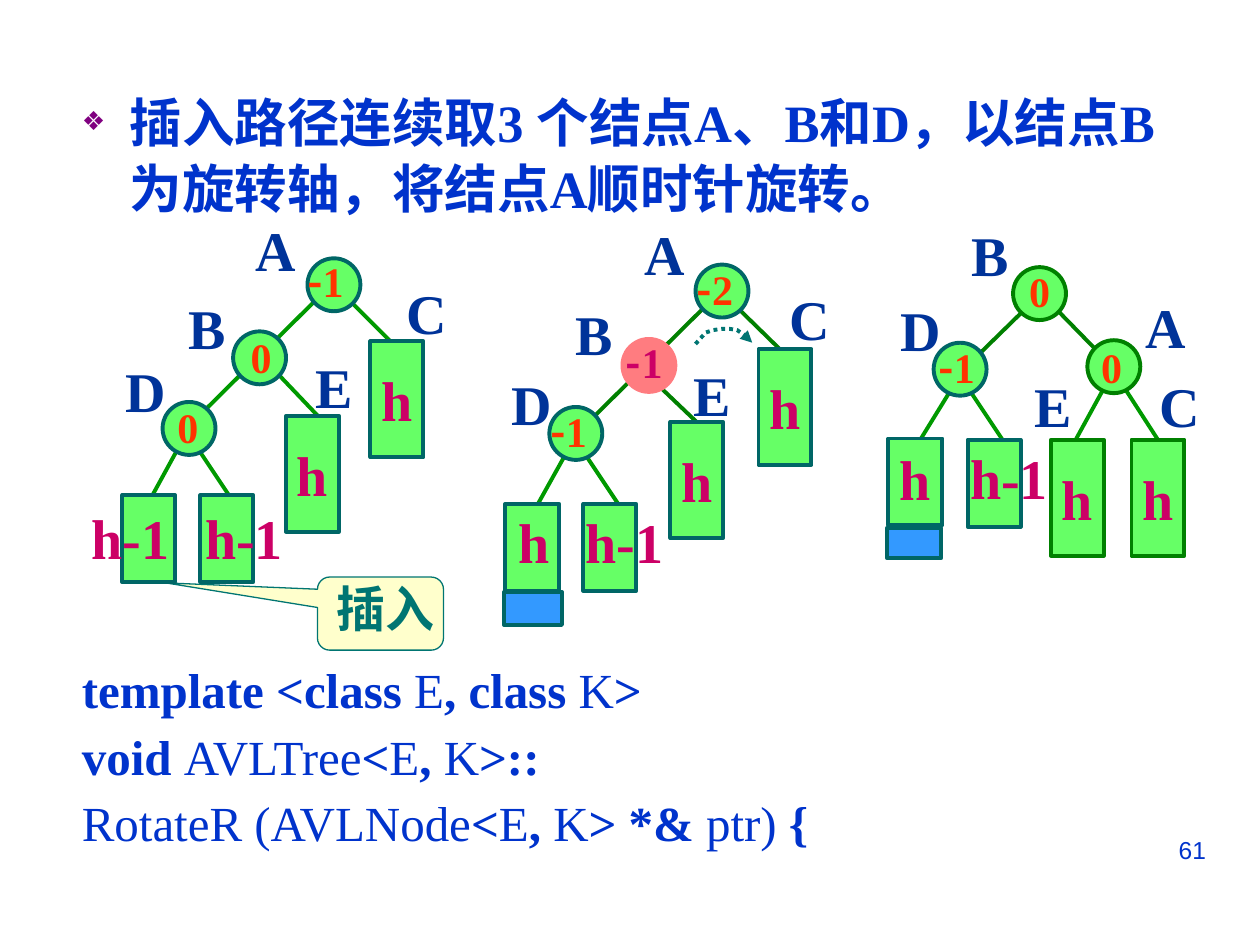
from math import hypot
from lxml import etree
from pptx import Presentation
from pptx.dml.color import RGBColor
from pptx.enum.dml import MSO_LINE as Dash
from pptx.enum.shapes import MSO_CONNECTOR as Link, MSO_SHAPE as Preset
from pptx.enum.text import MSO_ANCHOR as Anchor, MSO_AUTO_SIZE as Fit, PP_ALIGN as Align
from pptx.oxml.ns import qn
from pptx.util import Inches, Pt

COLORS = {
    "text": "0033CC", "name": "003399", "height": "CC0066", "balance": "FF3300",
    "node": "66FF66", "teal": "006666", "green": "008000", "edge": "009900",
    "pivot": "FF7C80", "inserted": "3399FF", "note": "FFFFCC", "rim": "007572",
    "bullet": "800080",
}
SERIF, SANS, CJK = "Times New Roman", "Arial", "Noto Sans CJK SC"
WIDTHS = {"A": 5.2, "B": 5, "C": 5.2, "D": 5.2, "E": 5, "h": 4.8, "h-1": 8.2,
          "0": 3.7, "-1": 5.3, "-2": 5.3, "插入": 9.9, "61": 25}
NODE, TALL, SHORT = 4.2, 9.2, 6.9

prs = Presentation()
prs.slide_width, prs.slide_height = Inches(10), Inches(7.5)
col, row = prs.slide_width / 100, prs.slide_height / 75
slide = prs.slides.add_slide(prs.slide_layouts[1])
shapes = slide.shapes
title = shapes.title._element
title.getparent().remove(title)


def write(paragraph, pieces, color, size, bold=True, name=SERIF):
    for piece in pieces:
        text, changes = piece if isinstance(piece, tuple) else (piece, {})
        run = paragraph.add_run()
        run.text = text
        for key, value in ({"size": Pt(size), "bold": bold, "name": name} | changes).items():
            setattr(run.font, key, value)
        run.font.color.rgb = RGBColor.from_string(COLORS[color])


def outline(shape, fill, line, weight=2.25):
    shape.shadow.inherit = False
    if fill:
        shape.fill.solid()
        shape.fill.fore_color.rgb = RGBColor.from_string(COLORS[fill])
    else:
        shape.fill.background()
    shape.line.color.rgb = RGBColor.from_string(COLORS[line])
    shape.line.width = Pt(weight)


body = slide.placeholders[1]
for key, value in {"left": 5.5 * col, "top": 6.4 * row, "width": 90 * col, "height": 63.9 * row}.items():
    setattr(body, key, int(value))
for key, value in {"auto_size": Fit.NONE, "vertical_anchor": Anchor.TOP, "word_wrap": True}.items():
    setattr(body.text_frame, key, value)

light = {"bold": False}
content = [
    (0, 30, ["插入路径连续取3 个结点A、B和D，以结点B为旋转轴，将结点A顺时针旋转。"]),
    (250, 28, ["template <class ", ("E", light), ", class ", ("K", light), ">"]),
    (2.8, 28, ["void ", ("AVLTree", light), "<", ("E", light), ", ", ("K", light), ">::"]),
    (2.8, 28, [("RotateR (AVLNode", light), "<", ("E", light), ", ", ("K", light),
               "> *& ", ("ptr)", light), " {"]),
]
for index, (gap, size, pieces) in enumerate(content):
    paragraph = body.text_frame.add_paragraph() if index else body.text_frame.paragraphs[0]
    props = paragraph._p.get_or_add_pPr()
    props.set("marL", str(Inches(0.38)))
    props.set("indent", str(-Inches(0.38)))
    if index:
        etree.SubElement(props, qn("a:buNone"))
    else:
        tint = etree.SubElement(props, qn("a:buClr"))
        etree.SubElement(tint, qn("a:srgbClr"), val=COLORS["bullet"])
        etree.SubElement(props, qn("a:buSzPct"), val="50000")
        etree.SubElement(props, qn("a:buChar"), char="❖")
    for key, value in {"line_spacing": 1.05, "space_before": Pt(gap), "alignment": Align.LEFT}.items():
        setattr(paragraph, key, value)
    write(paragraph, pieces, "text", size)

note = shapes.add_shape(Preset.ROUNDED_RECTANGULAR_CALLOUT,
                        *map(int, (25.2 * col, 45.8 * row, 10 * col, 5.8 * row)))
for index, value in enumerate((-1.705, -0.42, 0.167)):
    note.adjustments[index] = value
outline(note, "note", "rim", 0.75)

trees = [
    {"edges": [(21.7, 29.3, 25.7, 33.5, "edge"), (15.3, 35, 18.5, 39.8, "edge"),
               (14.4, 35.1, 11.5, 40.4, "edge"), (26.7, 22.2, 14.7, 34.1, "edge"),
               (27.7, 23.8, 31.9, 28, "edge")],
     "boxes": [(29.4, 27.1, NODE, TALL, "node", "teal"), (22.7, 33, NODE, TALL, "node", "teal"),
               (15.9, 39.3, NODE, SHORT, "node", "teal"), (9.7, 39.3, NODE, SHORT, "node", "teal")],
     "nodes": [(24.4, 20.5, "node", "teal"), (18.5, 26.3, "node", "teal"), (12.9, 31.9, "node", "teal")],
     "names": [(19.3, 16.6, "A"), (14, 22.8, "B"), (9, 27.8, "D"), (31.3, 21.6, "C"), (24.1, 27.5, "E")],
     "heights": [(15.3, 39.5, "h-1"), (6.3, 39.5, "h-1")],
     "balances": [(23.4, 19.8, "-1", "balance"), (13.1, 31.4, "0", "balance"), (18.9, 25.8, "0", "balance")]},
    {"edges": [(51, 29.4, 55.2, 33.5, "green"), (58.5, 24.4, 62.7, 28.5, "green"),
               (56.9, 23.4, 46.6, 33.6, "green"), (46, 35.4, 49.2, 40.2, "edge"),
               (45.2, 35.5, 42.3, 40.7, "edge")],
     "boxes": [(53.2, 33.5, NODE, TALL, "node", "teal"), (60.2, 27.7, NODE, TALL, "node", "teal"),
               (46.3, 40, NODE, SHORT, "node", "teal"), (40.1, 40, 4.3, SHORT, "node", "teal"),
               (40, 47, 4.6, 2.6, "inserted", "teal")],
     "nodes": [(49.4, 26.9, "pivot", "pivot"), (55.2, 21, "node", "teal"), (43.6, 32.3, "node", "teal")],
     "names": [(44.7, 23.3, "B"), (50.2, 16.9, "A"), (61.7, 22.1, "C"), (54.1, 28.1, "E"), (39.6, 28.8, "D")],
     "heights": [(45.5, 39.8, "h-1"), (40.2, 39.8, "h")],
     "balances": [(54.3, 20.4, "-2", "balance"), (48.7, 26.2, "-1", "height"), (42.7, 31.7, "-1", "balance")]},
    {"edges": [(75.5, 30.9, 73.1, 34.8, "edge"), (88.8, 30.1, 92, 34.8, "edge"),
               (88, 30.1, 85.1, 35.4, "edge"), (81.8, 24.1, 77.1, 28.7, "green"),
               (83.8, 24.5, 87.9, 28.7, "green"), (76.5, 30.3, 79.7, 35.1, "edge")],
     "boxes": [(70.5, 34.8, 4.3, SHORT, "node", "teal"), (89.8, 34.9, NODE, TALL, "node", "green"),
               (83.4, 34.9, NODE, TALL, "node", "green"), (76.8, 34.9, NODE, SHORT, "node", "teal"),
               (70.4, 41.9, 4.3, 2.4, "inserted", "teal")],
     "nodes": [(86.3, 27, "node", "green"), (80.4, 21.2, "node", "green"), (74.1, 27.2, "node", "teal")],
     "names": [(76.1, 17, "B"), (91, 29, "C"), (81.1, 29, "E"), (89.9, 22.7, "A"), (70.5, 23, "D")],
     "heights": [(76, 34.7, "h-1"), (70.4, 34.8, "h")],
     "balances": [(73.5, 26.6, "-1", "balance"), (80.7, 20.6, "0", "balance"), (86.4, 26.6, "0", "balance")]},
]
labels = [(25.7, 45.4, "插入", "rim", 28, SERIF), (71.7, 65.8, "61", "text", 14, SANS)]
for tree in trees:
    edges = []
    for x1, y1, x2, y2, color in tree["edges"]:
        edge = shapes.add_connector(Link.STRAIGHT, *map(int, (x1 * col, y1 * row, x2 * col, y2 * row)))
        edge.line.color.rgb = RGBColor.from_string(COLORS[color])
        edge.line.width = Pt(2.25)
        etree.SubElement(edge._element.spPr, qn("a:effectLst"))
        edges.append((edge, x2, y2))
    for x, y, wide, high, fill, line in tree["boxes"]:
        box = shapes.add_shape(Preset.RECTANGLE, *map(int, (x * col, y * row, wide * col, high * row)))
        outline(box, fill, line)
        if high == TALL:
            for key, value in {"word_wrap": False, "vertical_anchor": Anchor.MIDDLE}.items():
                setattr(box.text_frame, key, value)
            box.text_frame.paragraphs[0].alignment = Align.CENTER
            write(box.text_frame.paragraphs[0], ["h"], "height", 32)
        for edge, end_x, end_y in edges:
            if hypot(end_x - x - wide / 2, end_y - y) < 0.3:
                edge.end_connect(box, 0)
    for x, y, fill, line in tree["nodes"]:
        node = shapes.add_shape(Preset.OVAL, *map(int, (x * col, y * row, NODE * col, NODE * row)))
        outline(node, fill, line)
    labels += [(*name, "name", 32, SERIF) for name in tree["names"]]
    labels += [(*height, "height", 32, SERIF) for height in tree["heights"]]
    labels += [(*balance, 24, SERIF) for balance in tree["balances"]]

turn = [(55.2, 27.3), (56, 26.4), (56.6, 26.2), (57.3, 26.1), (57.9, 26.1),
        (58.5, 26.2), (59.1, 26.6), (59.7, 27.2)]
points = [(int(x * col), int(y * row)) for x, y in turn]
builder = shapes.build_freeform(*points[0])
builder.add_line_segments(points[1:], close=False)
rotation = builder.convert_to_shape()
outline(rotation, None, "rim")
rotation.line.dash_style = Dash.ROUND_DOT
etree.SubElement(rotation.line._get_or_add_ln(), qn("a:tailEnd"), type="triangle")

for x, y, text, color, size, face in labels:
    label = shapes.add_textbox(*map(int, (x * col, y * row, WIDTHS[text] * col, size / 5 * row)))
    label.text_frame.word_wrap = text in ("插入", "61")
    paragraph = label.text_frame.paragraphs[0]
    paragraph.alignment = Align.RIGHT if text == "61" else Align.LEFT
    pieces = [("-", {"name": CJK}), text[1:]] if text.startswith("-") else [text]
    write(paragraph, pieces, color, size, face == SERIF, face)

prs.save("out.pptx")
